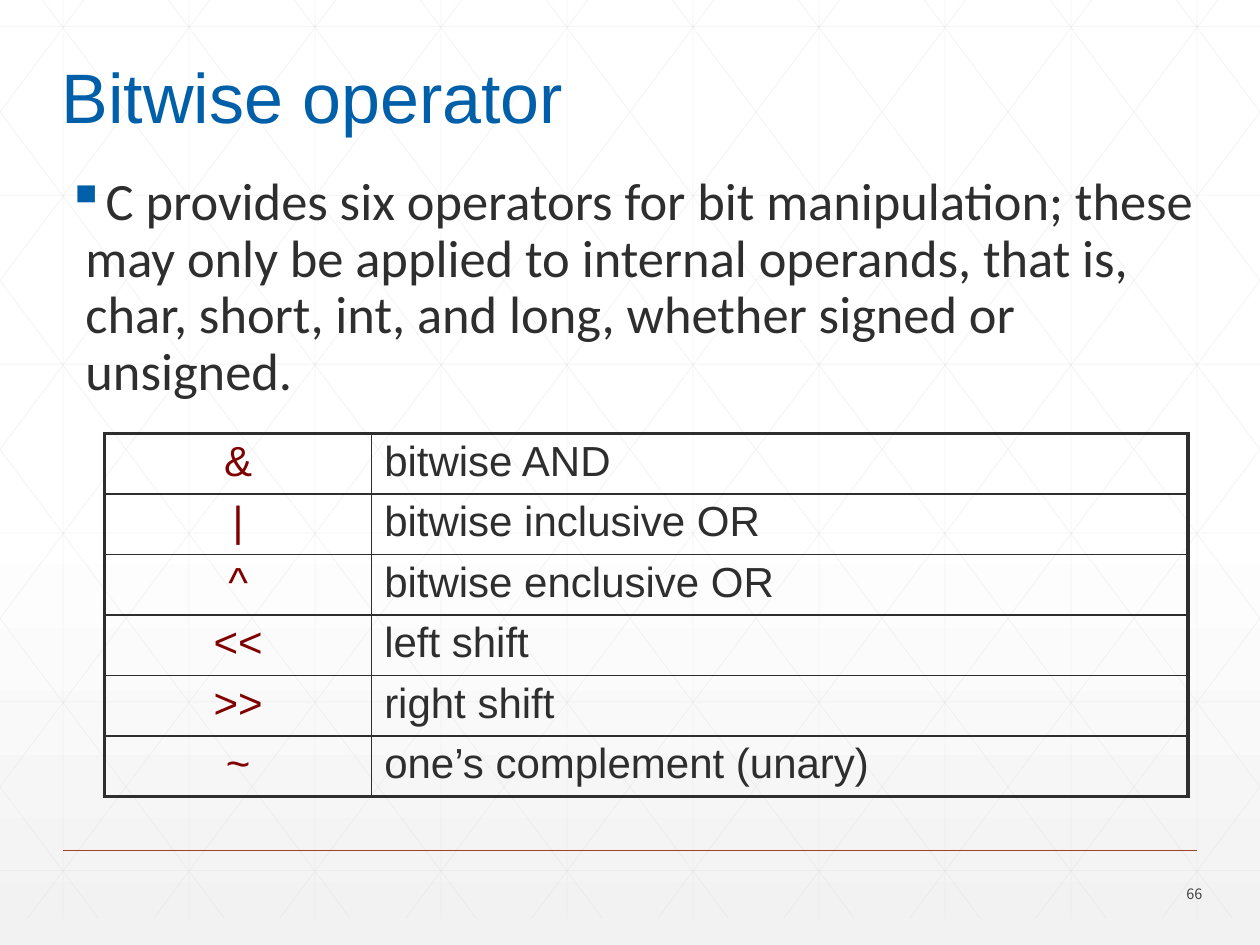
from dataclasses import dataclass

from lxml.etree import SubElement
from pptx import Presentation
from pptx.dml.color import RGBColor
from pptx.enum.shapes import MSO_CONNECTOR as Connector
from pptx.enum.text import MSO_ANCHOR as Anchor, PP_ALIGN as Align
from pptx.oxml import parse_xml
from pptx.oxml.ns import nsdecls, qn
from pptx.util import Inches, Pt


@dataclass(frozen=True)
class Theme:
    title_color: str = "005FA9"
    text_color: str = "2D2E2D"
    operator_color: str = "800000"
    number_color: str = "424342"
    rule_color: str = "A43F27"
    mesh_color: str = "D9D9D9"
    paper: str = "FFFFFF"
    paper_shade: str = "F2F2F2"
    heading_font: str = "Arial"
    body_font: str = "Calibri"
    number_font: str = "Noto Sans CJK TC"
    title_size: float = 40
    body_size: float = 30
    table_size: float = 24
    number_size: float = 8.2
    outer_border: float = 2.25
    inner_border: float = 1


THEME = Theme()
WIDTH, HEIGHT = 10, 7.5
MESH_TOP, MESH_BOTTOM = -0.21, 7.29
MESH_LEAN = 5.6 / 7.5

STATEMENT = (
    "C provides six operators for bit manipulation; these may only be applied "
    "to internal operands, that is, char, short, int, and long, whether signed "
    "or unsigned."
)
OPERATORS = [
    ("&", "bitwise AND"),
    ("|", "bitwise inclusive OR"),
    ("^", "bitwise enclusive OR"),
    ("<<", "left shift"),
    (">>", "right shift"),
    ("~", "one’s complement (unary)"),
]


def paint_background(slide):
    fill = slide.background.fill
    fill.gradient()
    fill.gradient_angle = 270
    stops = fill.gradient_stops
    stops[0].color.rgb = RGBColor.from_string(THEME.paper)
    stops[0].position = 0
    stops[1].color.rgb = RGBColor.from_string(THEME.paper_shade)
    stops[1].position = 1
    stop_list = slide.background._cSld.find(".//" + qn("a:gsLst"))
    stop_list.insert(1, parse_xml(
        f'<a:gs {nsdecls("a")} pos="53000"><a:srgbClr val="{THEME.paper}"/></a:gs>'))
    shade = stop_list[-1].find(qn("a:srgbClr"))
    SubElement(shade, qn("a:alpha"), val="65000")


def add_line(slide, start, end, color, width, opacity=None):
    line = slide.shapes.add_connector(
        Connector.STRAIGHT, *(Inches(v) for v in (*start, *end)))
    line.line.color.rgb = RGBColor.from_string(color)
    line.line.width = Pt(width)
    properties = line._element.spPr
    SubElement(properties, qn("a:effectLst"))
    if opacity is not None:
        tint = properties.find(".//" + qn("a:srgbClr"))
        SubElement(tint, qn("a:alpha"), val=str(opacity * 1000))


def add_mesh(slide):
    def strand(start, end):
        add_line(slide, start, end, THEME.mesh_color, 0.5, 25)

    for column in range(10):
        strand((0.5 + column, MESH_TOP), (0.5 + column, MESH_BOTTOM))
    for row in range(6):
        y = 0.21 + 1.34 * row
        strand((0, y), (WIDTH, y))
    for step in range(-5, 10):
        origin = 0.18 + step
        left = max(origin, 0)
        right = min(origin + 5.6, WIDTH)
        top, bottom = (MESH_TOP + (x - origin) / MESH_LEAN for x in (left, right))
        strand((left, top), (right, bottom))
        strand((WIDTH - left, top), (WIDTH - right, bottom))


def add_run(paragraph, text, font, size, color):
    run = paragraph.add_run()
    run.text = text
    run.font.name = font
    run.font.size = Pt(size)
    run.font.color.rgb = RGBColor.from_string(color)


def add_text(slide, box, text, font, size, color, anchor=Anchor.TOP, wrap=True):
    frame = slide.shapes.add_textbox(*(Inches(v) for v in box)).text_frame
    frame.word_wrap = wrap
    frame.vertical_anchor = anchor
    paragraph = frame.paragraphs[0]
    add_run(paragraph, text, font, size, color)
    return paragraph


def add_bullet(paragraph, mark, color, margin, hanging):
    properties = paragraph._p.get_or_add_pPr()
    properties.set("marL", str(Inches(margin)))
    properties.set("indent", str(-Inches(hanging)))
    bullet_color = SubElement(properties, qn("a:buClr"))
    SubElement(bullet_color, qn("a:srgbClr"), val=color)
    SubElement(properties, qn("a:buChar"), char=mark)


def set_borders(cell, widths):
    properties = cell._tc.get_or_add_tcPr()
    for index, (side, width) in enumerate(zip("LRTB", widths)):
        properties.insert(index, parse_xml(
            f'<a:ln{side} {nsdecls("a")} w="{Pt(width)}"><a:solidFill>'
            f'<a:srgbClr val="{THEME.text_color}"/></a:solidFill></a:ln{side}>'))


def add_operator_table(slide):
    last = len(OPERATORS) - 1
    table = slide.shapes.add_table(
        len(OPERATORS), 2, Inches(0.83), Inches(3.44), Inches(8.6), Inches(2.83)).table
    table.first_row = table.horz_banding = False
    for column, width in zip(table.columns, (2.12, 6.48)):
        column.width = Inches(width)
    styles = ((THEME.operator_color, Align.CENTER), (THEME.text_color, Align.LEFT))
    for row, entry in enumerate(OPERATORS):
        for column, (text, (color, align)) in enumerate(zip(entry, styles)):
            cell = table.cell(row, column)
            cell.margin_top = cell.margin_bottom = Inches(0.04)
            cell.fill.background()
            outer = (column == 0, column == 1, row == 0, row == last)
            set_borders(cell, [THEME.outer_border if edge else THEME.inner_border
                               for edge in outer])
            paragraph = cell.text_frame.paragraphs[0]
            paragraph.alignment = align
            add_run(paragraph, text, THEME.heading_font, THEME.table_size, color)


def main():
    deck = Presentation()
    deck.slide_width, deck.slide_height = Inches(WIDTH), Inches(HEIGHT)
    slide = deck.slides.add_slide(deck.slide_layouts[6])
    paint_background(slide)
    add_mesh(slide)
    add_line(slide, (0.5, 6.75), (9.5, 6.75), THEME.rule_color, 1)

    page_number = add_text(slide, (8.89, 6.97, 0.75, 0.24), "66", THEME.number_font,
                           THEME.number_size, THEME.number_color, Anchor.MIDDLE)
    page_number.alignment = Align.RIGHT
    title = add_text(slide, (0.39, 0.44, 4.23, 0.71), "Bitwise operator",
                     THEME.heading_font, THEME.title_size, THEME.title_color,
                     Anchor.BOTTOM, wrap=False)
    title.line_spacing = 0.9
    statement = add_text(slide, (0.2, 1.34, 9.43, 6.19), STATEMENT,
                         THEME.body_font, THEME.body_size, THEME.text_color)
    add_bullet(statement, "▪", THEME.title_color, 0.38, 0.15)
    statement.line_spacing = 0.9
    add_operator_table(slide)
    deck.save("out.pptx")


if __name__ == "__main__":
    main()
